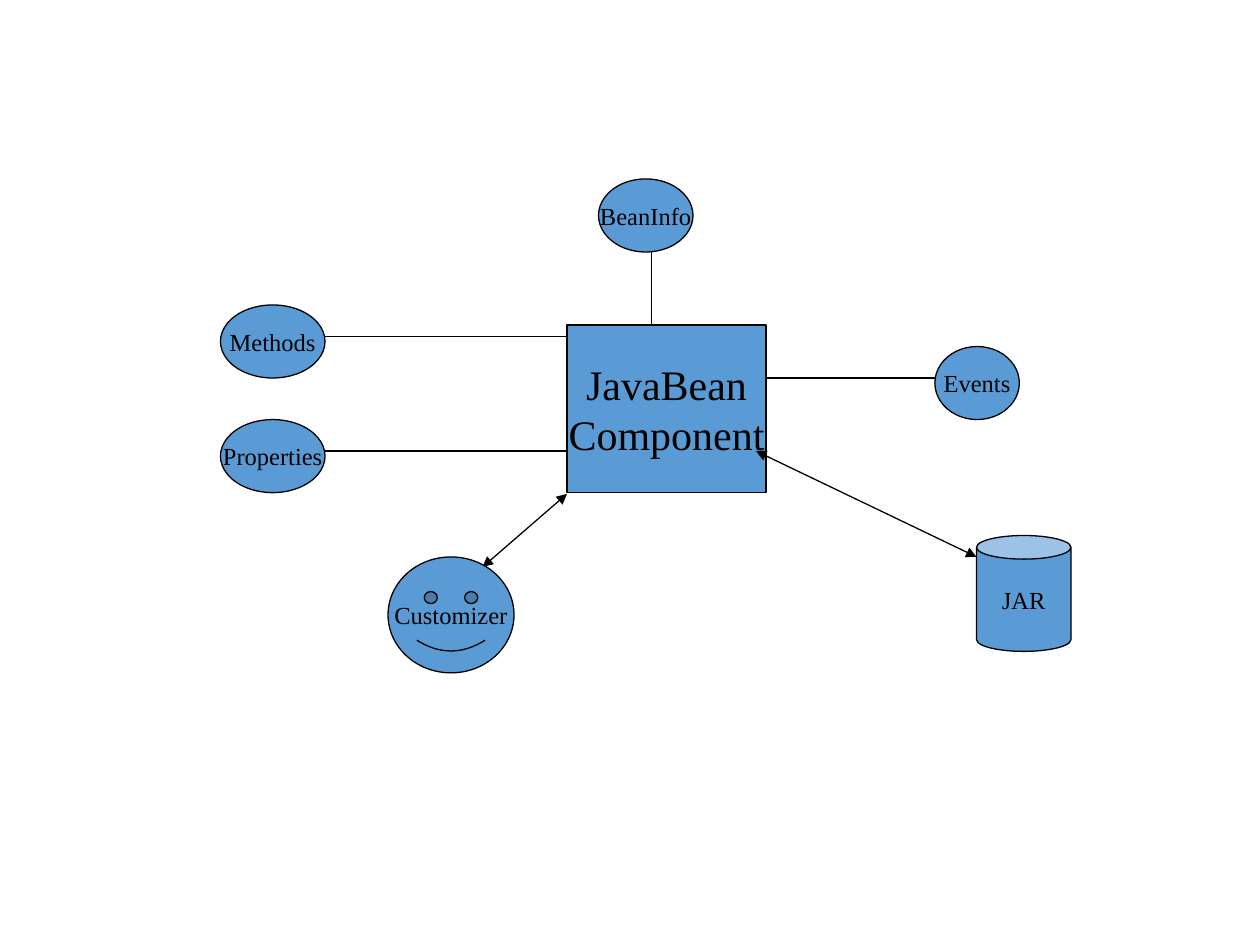
from lxml.etree import SubElement
from pptx import Presentation
from pptx.dml.color import RGBColor
from pptx.enum.shapes import MSO_CONNECTOR, MSO_SHAPE
from pptx.enum.text import MSO_ANCHOR, PP_ALIGN
from pptx.oxml.ns import qn
from pptx.util import Inches, Pt

COLORS = {"node": "5B9BD5", "ink": "000000"}
FONT = "Times New Roman"
LINE_WIDTH = Pt(0.75)

NODES = [
    ("BeanInfo", MSO_SHAPE.OVAL, (3, 0, 0.75, 0.58)),
    ("Events", MSO_SHAPE.OVAL, (5.67, 1.33, 0.67, 0.58)),
    ("Methods", MSO_SHAPE.OVAL, (0, 1, 0.83, 0.58)),
    ("Properties", MSO_SHAPE.OVAL, (0, 1.91, 0.83, 0.58)),
    ("JAR", MSO_SHAPE.CAN, (6, 2.83, 0.75, 0.92)),
    ("Customizer", MSO_SHAPE.SMILEY_FACE, (1.33, 3, 1, 0.92)),
]
LINKS = [
    ((3.42, 0.58), (3.42, 1.16), False),
    ((5.67, 1.58), (4.33, 1.58), False),
    ((0.83, 2.16), (2.75, 2.16), False),
    ((0.83, 1.25), (2.75, 1.25), False),
    ((2.75, 2.5), (2.08, 3.08), True),
    ((4.25, 2.16), (6, 3), True),
]


def add_node(slide, preset, box, lines, size):
    """Add a filled, outlined shape with centred text, one paragraph per line."""
    shape = slide.shapes.add_shape(preset, *(Inches(length) for length in box))
    shape.shadow.inherit = False
    shape.fill.solid()
    shape.fill.fore_color.rgb = RGBColor.from_string(COLORS["node"])
    shape.line.color.rgb = RGBColor.from_string(COLORS["ink"])
    shape.line.width = LINE_WIDTH
    frame = shape.text_frame
    frame.word_wrap = False
    frame.vertical_anchor = MSO_ANCHOR.MIDDLE
    frame.text = "\n".join(lines)
    for paragraph in frame.paragraphs:
        paragraph.alignment = PP_ALIGN.CENTER
        paragraph.font.name = FONT
        paragraph.font.size = Pt(size)
        paragraph.font.color.rgb = RGBColor.from_string(COLORS["ink"])


def add_link(slide, start, end, arrows):
    """Add a straight connector, with an arrowhead at both ends if wanted."""
    connector = slide.shapes.add_connector(
        MSO_CONNECTOR.STRAIGHT, *(Inches(length) for length in (*start, *end))
    )
    connector.line.color.rgb = RGBColor.from_string(COLORS["ink"])
    connector.line.width = LINE_WIDTH
    if arrows:
        outline = connector.line._get_or_add_ln()
        for tag in ("a:headEnd", "a:tailEnd"):
            SubElement(outline, qn(tag), type="triangle")
    SubElement(connector._element.spPr, qn("a:effectLst"))


def add_component_diagram(slide, left, top):
    """Draw the component, its links and its surrounding nodes from a corner."""
    add_node(
        slide, MSO_SHAPE.RECTANGLE, (left + 2.75, top + 1.16, 1.58, 1.33),
        ["JavaBean", "Component"], 24,
    )
    for start, end, arrows in LINKS:
        start, end = ((left + x, top + y) for x, y in (start, end))
        add_link(slide, start, end, arrows)
    for label, preset, (x, y, width, height) in NODES:
        add_node(slide, preset, (left + x, top + y, width, height), [label], 14)


def main():
    """Build and save the presentation."""
    presentation = Presentation()
    presentation.slide_width = Inches(10)
    presentation.slide_height = Inches(7.5)
    slide = presentation.slides.add_slide(presentation.slide_layouts[6])
    add_component_diagram(slide, 1.75, 1.42)
    presentation.save("out.pptx")


if __name__ == "__main__":
    main()
